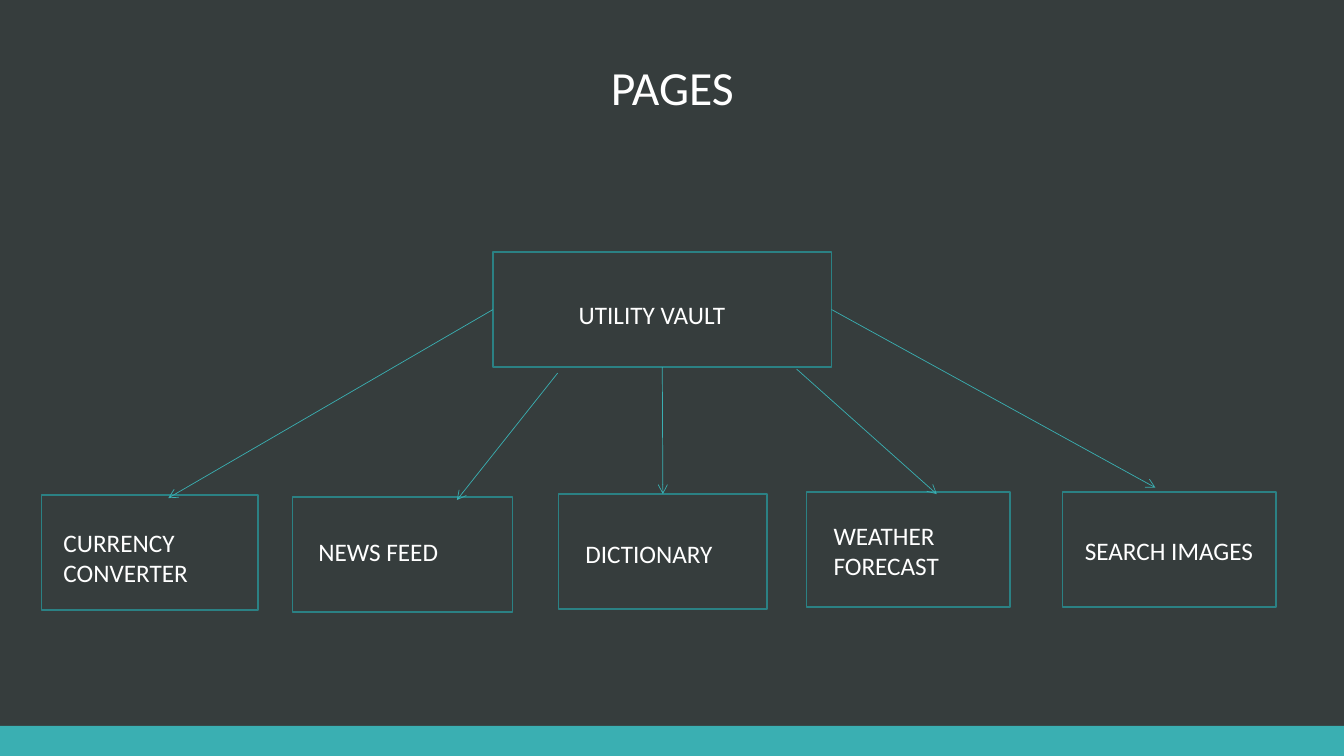
from dataclasses import dataclass

from lxml import etree
from pptx import Presentation
from pptx.dml.color import RGBColor
from pptx.enum.shapes import MSO_CONNECTOR, MSO_SHAPE
from pptx.enum.text import MSO_ANCHOR, MSO_AUTO_SIZE, PP_ALIGN
from pptx.oxml.ns import qn
from pptx.shapes.autoshape import Shape
from pptx.shapes.connector import Connector
from pptx.slide import Slide
from pptx.text.text import TextFrame
from pptx.util import Cm, Pt

RECT = MSO_SHAPE.RECTANGLE
STRAIGHT = MSO_CONNECTOR.STRAIGHT
BOTTOM = MSO_ANCHOR.BOTTOM
CENTER = PP_ALIGN.CENTER
NO_FIT = MSO_AUTO_SIZE.NONE
FIT_SHAPE = MSO_AUTO_SIZE.SHAPE_TO_FIT_TEXT

FONT = "Calibri"
BACKGROUND = "363D3D"
TEAL = "3AAFB2"
OUTLINE = "2B8184"
WHITE = "FFFFFF"
SLIDE_W, SLIDE_H = 33.86, 19.05
BAR_H = 0.76
BOX_H = 2.9
TOP_SIDE, LEFT_SIDE, BOTTOM_SIDE, RIGHT_SIDE = range(4)


@dataclass
class Page:
    name: str
    left: float
    top: float
    width: float
    text_left: float
    text_top: float
    text_width: float
    text_height: float = 1.02


@dataclass
class Arrow:
    x1: float
    y1: float
    x2: float
    y2: float
    root_side: int | None = None
    target: str | None = None


ROOT = Page("UTILITY VAULT", 12.42, 6.35, 8.53, 14.33, 7.42, 4.65)
PAGES = [
    Page("CURRENCY CONVERTER", 1.04, 12.47, 5.46, 1.35, 13.16, 4.83, 1.8),
    Page("NEWS FEED", 7.37, 12.52, 5.54, 7.77, 13.39, 4.65),
    Page("DICTIONARY", 14.07, 12.45, 5.26, 14.5, 13.44, 4.55),
    Page("WEATHER FORECAST", 20.32, 12.4, 5.13, 20.75, 12.98, 4.55, 1.8),
    Page("SEARCH IMAGES", 26.77, 12.4, 5.38, 27.08, 13.36, 4.9),
]
ARROWS = [
    Arrow(16.68, 9.25, 16.7, 12.45, BOTTOM_SIDE, "DICTIONARY"),
    Arrow(12.42, 7.8, 4.24, 12.55, LEFT_SIDE),
    Arrow(14.05, 9.4, 11.51, 12.6),
    Arrow(20.07, 9.3, 23.6, 12.45),
    Arrow(20.95, 7.8, 29.11, 12.29, RIGHT_SIDE),
]


def color(value: str) -> RGBColor:
    return RGBColor.from_string(value)


def write(tf: TextFrame, text: str, size: float) -> None:
    tf.word_wrap = True
    tf.text = text
    font = tf.paragraphs[0].runs[0].font
    font.name = FONT
    font.size = Pt(size)
    font.color.rgb = color(WHITE)


def add_bar(s: Slide) -> None:
    bar = s.shapes.add_shape(RECT, 0, Cm(SLIDE_H - BAR_H), Cm(SLIDE_W), Cm(BAR_H))
    bar.shadow.inherit = False
    bar.fill.solid()
    bar.fill.fore_color.rgb = color(TEAL)
    bar.line.fill.background()


def add_title(s: Slide, text: str) -> None:
    title = s.shapes.title
    title.left, title.top = Cm(3.73), Cm(1.3)
    title.width, title.height = Cm(26.42), Cm(1.75)
    tf = title.text_frame
    write(tf, text, 34)
    tf.auto_size = NO_FIT
    tf.vertical_anchor = BOTTOM
    p = tf.paragraphs[0]
    p.alignment = CENTER
    p.line_spacing = 0.9


def add_box(s: Slide, page: Page) -> Shape:
    box = s.shapes.add_shape(RECT, Cm(page.left), Cm(page.top), Cm(page.width), Cm(BOX_H))
    box.shadow.inherit = False
    box.fill.background()
    box.line.color.rgb = color(OUTLINE)
    box.line.width = Pt(1)
    return box


def add_label(s: Slide, page: Page) -> None:
    label = s.shapes.add_textbox(
        Cm(page.text_left), Cm(page.text_top), Cm(page.text_width), Cm(page.text_height)
    )
    write(label.text_frame, page.name, 18)
    label.text_frame.auto_size = FIT_SHAPE


def add_arrow(s: Slide, arrow: Arrow, boxes: dict[str, Shape]) -> Connector:
    line = s.shapes.add_connector(
        STRAIGHT, Cm(arrow.x1), Cm(arrow.y1), Cm(arrow.x2), Cm(arrow.y2)
    )
    if arrow.root_side is not None:
        line.begin_connect(boxes[ROOT.name], arrow.root_side)
    if arrow.target is not None:
        line.end_connect(boxes[arrow.target], TOP_SIDE)
    line.line.color.rgb = color(TEAL)
    line.line.width = Pt(0.5)
    sp_pr = line._element.spPr
    etree.SubElement(sp_pr.find(qn("a:ln")), qn("a:tailEnd"), type="arrow")
    etree.SubElement(sp_pr, qn("a:effectLst"))
    return line


def main() -> None:
    prs = Presentation()
    prs.slide_width, prs.slide_height = Cm(SLIDE_W), Cm(SLIDE_H)
    s = prs.slides.add_slide(prs.slide_layouts.get_by_name("Title Only"))
    s.background.fill.solid()
    s.background.fill.fore_color.rgb = color(BACKGROUND)
    add_bar(s)
    add_title(s, "PAGES")
    pages = [ROOT, *PAGES]
    boxes = {page.name: add_box(s, page) for page in pages}
    for page in pages:
        add_label(s, page)
    for arrow in ARROWS:
        add_arrow(s, arrow, boxes)
    prs.save("out.pptx")


if __name__ == "__main__":
    main()
